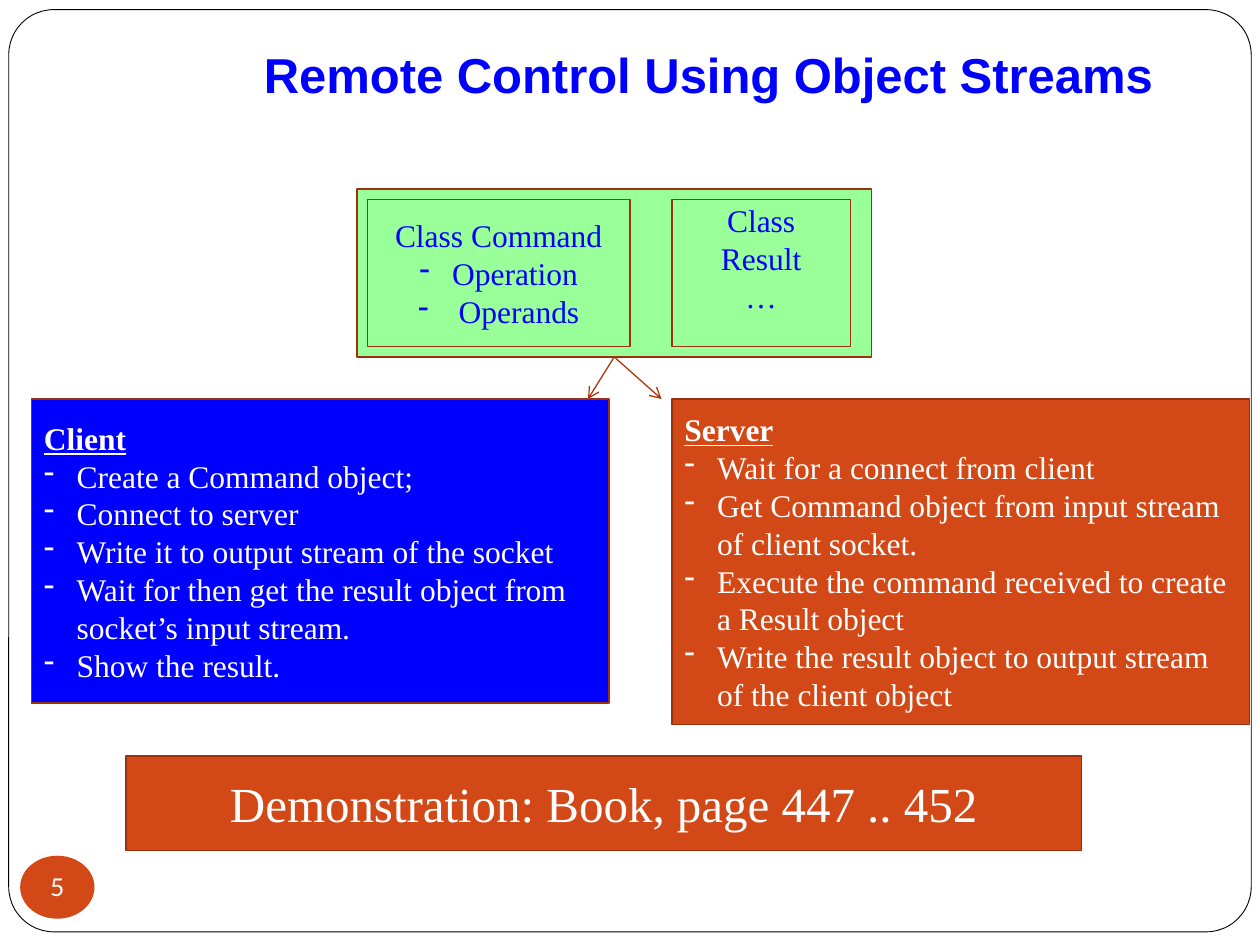
import pptx
import pptx.util
import pptx.dml.color
import pptx.enum.shapes
import pptx.enum.text
import pptx.oxml.ns
import lxml.etree

Pt = pptx.util.Pt
SHAPE = pptx.enum.shapes.MSO_SHAPE
ALIGN = pptx.enum.text.PP_ALIGN
ANCHOR = pptx.enum.text.MSO_ANCHOR
qn = pptx.oxml.ns.qn

COLORS = {
    "white": "FFFFFF", "black": "000000", "blue": "0000FF", "green": "99FF99",
    "orange": "D34817", "edge": "9B320E", "arrow": "AF3408",
}
SERIF = "Times New Roman"
INDENT = 18.75
CLIENT = [
    "Create a Command object;",
    "Connect to server",
    "Write it to output stream of the socket",
    "Wait for then get the result object from socket’s input stream.",
    "Show the result.",
]
SERVER = [
    "Wait for a connect from client",
    "Get Command object from input stream of client socket.",
    "Execute the command received to create a Result object",
    "Write the result object to output stream of the client object",
]


def rgb(name):
    return pptx.dml.color.RGBColor.from_string(COLORS[name])


def add_box(shapes, box, fill, line="edge", width=1, kind=SHAPE.RECTANGLE):
    s = shapes.add_shape(kind, *map(Pt, box))
    s.shadow.inherit = False
    s.fill.solid()
    s.fill.fore_color.rgb = rgb(fill)
    if line:
        s.line.color.rgb = rgb(line)
        s.line.width = Pt(width)
    else:
        s.line.fill.background()
    tf = s.text_frame
    tf.word_wrap = True
    tf.vertical_anchor = ANCHOR.MIDDLE
    return s


def write(p, text, color, size=18, font=SERIF, align=ALIGN.LEFT, bold=False, underline=False):
    p.alignment = align
    r = p.add_run()
    r.text = text
    r.font.name = font
    r.font.size = Pt(size)
    r.font.bold = bold
    r.font.underline = underline
    r.font.color.rgb = rgb(color)


def add_bullet(p):
    pPr = p._p.get_or_add_pPr()
    pPr.set("marL", str(Pt(INDENT)))
    pPr.set("indent", str(-Pt(INDENT)))
    lxml.etree.SubElement(pPr, qn("a:buFontTx"))
    lxml.etree.SubElement(pPr, qn("a:buChar")).set("char", "-")


def add_bullets(tf, items, color, align=ALIGN.LEFT):
    for item in items:
        p = tf.add_paragraph()
        add_bullet(p)
        write(p, item, color, align=align)


def add_frame(slide, box):
    x, y, w, h = box
    s = add_box(slide.shapes, box, "white", "black", 0.5, SHAPE.ROUNDED_RECTANGLE)
    s.adjustments[0] = 0.049


def add_title(slide, box, text):
    s = slide.shapes.title
    s.left, s.top, s.width, s.height = map(Pt, box)
    tf = s.text_frame
    tf.vertical_anchor = ANCHOR.BOTTOM
    tf.margin_bottom = Pt(7.2)
    write(tf.paragraphs[0], text, "blue", 28, "Arial", ALIGN.RIGHT, bold=True)


def add_panel(slide, box, heading, items, fill):
    tf = add_box(slide.shapes, box, fill).text_frame
    write(tf.paragraphs[0], heading, "white", bold=True, underline=True)
    add_bullets(tf, items, "white")


def add_classes(slide, box):
    x, y, w, h = box
    pad = 6
    shapes = slide.shapes.add_group_shape().shapes
    outer = add_box(shapes, box, "green")

    tf = add_box(shapes, (x + pad, y + pad, 150, h - 2 * pad), "green").text_frame
    write(tf.paragraphs[0], "Class Command", "blue", align=ALIGN.CENTER)
    add_bullets(tf, ["Operation", " Operands"], "blue", ALIGN.CENTER)

    tf = add_box(shapes, (x + 180, y + pad, 102, h - 2 * pad), "green").text_frame
    tf.vertical_anchor = ANCHOR.TOP
    tf.margin_top = Pt(0.8)
    write(tf.paragraphs[0], "Class Result", "blue", align=ALIGN.CENTER)
    write(tf.add_paragraph(), "…", "blue", align=ALIGN.CENTER)
    return outer


def add_arrows(slide, source, ends):
    for x, y in ends:
        s = slide.shapes.add_connector(
            pptx.enum.shapes.MSO_CONNECTOR.STRAIGHT, 0, 0, Pt(x), Pt(y))
        s.begin_connect(source, 2)
        s.line.color.rgb = rgb("arrow")
        s.line.width = Pt(0.75)
        tail = lxml.etree.SubElement(s.line._get_or_add_ln(), qn("a:tailEnd"))
        tail.set("type", "arrow")
        lxml.etree.SubElement(s._element.spPr, qn("a:effectLst"))


def add_banner(slide, box, text):
    tf = add_box(slide.shapes, box, "orange").text_frame
    write(tf.paragraphs[0], text, "white", 28, align=ALIGN.CENTER)


def add_page_number(slide, box, text):
    tf = add_box(slide.shapes, box, "orange", None, kind=SHAPE.OVAL).text_frame
    tf.word_wrap = False
    tf.margin_left = tf.margin_right = tf.margin_top = tf.margin_bottom = 0
    write(tf.paragraphs[0], text, "white", 14, "Lato", ALIGN.CENTER)


def main():
    prs = pptx.Presentation()
    prs.slide_width, prs.slide_height = Pt(720), Pt(540)
    slide = prs.slides.add_slide(prs.slide_layouts[5])
    add_frame(slide, (5, 5.5, 710, 527))
    title = slide.shapes.title._element
    title.getparent().append(title)
    add_title(slide, (36, 12, 630, 54), "Remote Control Using Object Streams")
    add_panel(slide, (18, 228, 330, 174), "Client", CLIENT, "blue")
    add_panel(slide, (384, 228, 330, 186), "Server", SERVER, "orange")
    add_banner(slide, (72, 432, 546, 54), "Demonstration: Book, page 447 .. 452")
    classes = add_classes(slide, (204, 108, 294, 96))
    add_arrows(slide, classes, [(336, 228), (378, 228)])
    add_page_number(slide, (11.5, 489, 42.5, 36), "5")
    prs.save("out.pptx")


if __name__ == "__main__":
    main()
